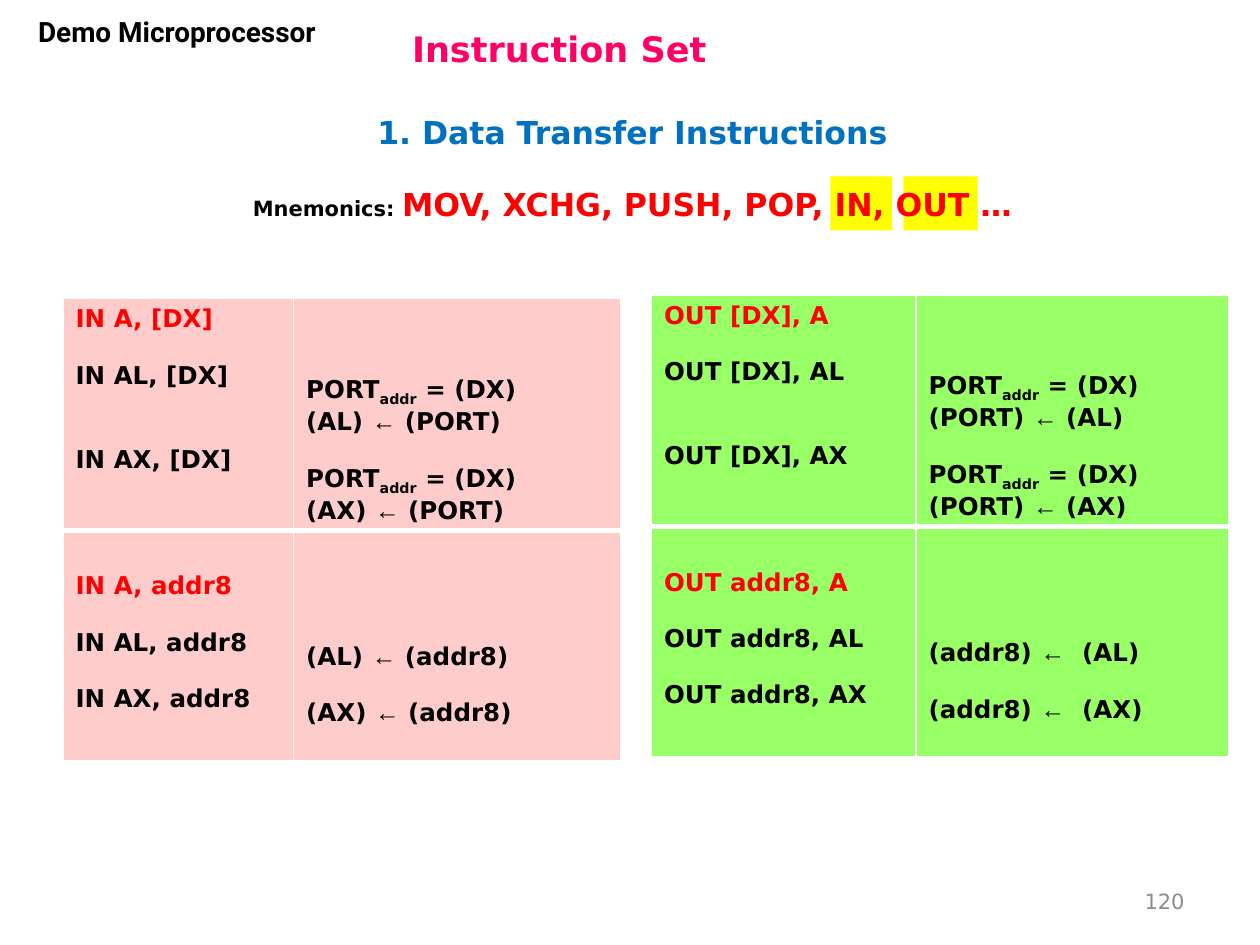
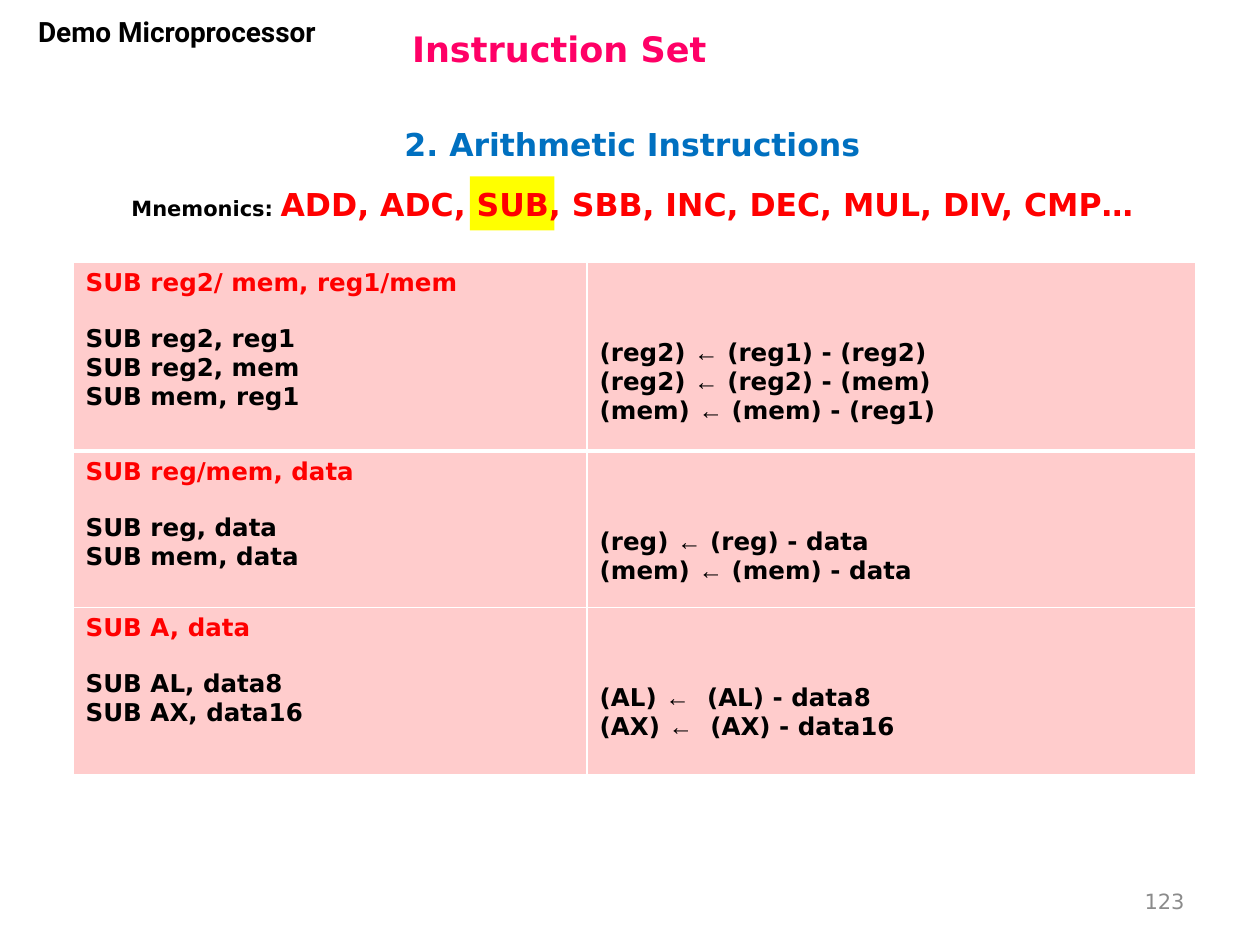
from typing import NamedTuple

from lxml.etree import SubElement
from pptx import Presentation
from pptx.dml.color import RGBColor
from pptx.enum.shapes import MSO_SHAPE as Shape
from pptx.enum.text import MSO_ANCHOR as Anchor, MSO_AUTO_SIZE as AutoSize, PP_ALIGN as Align
from pptx.oxml.ns import qn
from pptx.util import Emu, Pt

PX = 9144  # 100 px to the inch
TITLE_ONLY = 5

BLACK = RGBColor(0x00, 0x00, 0x00)
WHITE = RGBColor(0xFF, 0xFF, 0xFF)
RED = RGBColor(0xFF, 0x00, 0x00)
MAGENTA = RGBColor(0xFF, 0x00, 0x66)
BLUE = RGBColor(0x00, 0x70, 0xC0)
GREY = RGBColor(0x8B, 0x8B, 0x8B)
YELLOW = RGBColor(0xFF, 0xFF, 0x00)
PINK = RGBColor(0xFF, 0xCC, 0xCC)
GREEN = RGBColor(0x99, 0xFF, 0x66)

MAIN_FONT = "DejaVu Sans"
COURSE_FONT = "Roboto"
ARROW_FONT = "Arial"

CELL_TOP, CELL_BOTTOM = 5, 1
LEAD_LINE = 28
GAP_LINE = 15.8
THIN, THICK = Pt(0.96), Pt(3)


class Place(NamedTuple):
    left: int
    top: int
    width: int
    height: int


class Line(NamedTuple):
    text: str
    gap: int = 0  # line heights left free above


class Row(NamedTuple):
    height: int
    forms: list[Line]
    effects: list[Line]
    lead: int = 0  # line heights left free above the first form


class Grid(NamedTuple):
    left: int
    top: int
    columns: tuple[int, int]
    fill: RGBColor
    rows: list[Row]


class Topic(NamedTuple):
    heading: str
    heading_top: int
    mnemonics: str
    highlights: list[Place]
    grids: list[Grid]
    number: str


TITLE = Place(317, 12, 658, 53)
COURSE = Place(7, 7, 267, 63)
NUMBER = Place(717, 695, 233, 40)
MNEMONICS = Place(29, 142, 946, 40)


def highlight_at(left: int, width: int) -> Place:
    return Place(left, 140, width, 43)


TOPICS = [
    Topic(
        "1. Data Transfer Instructions", 83,
        "MOV, XCHG, PUSH, POP, IN, OUT …",
        [highlight_at(659, 49), highlight_at(717, 59)],
        [
            Grid(50, 237, (183, 260), PINK, [
                Row(184,
                    [Line("IN A, [DX]"), Line("IN AL, [DX]", 1), Line("IN AX, [DX]", 2)],
                    [Line("PORTaddr = (DX)"), Line("(AL) ← (PORT)"),
                     Line("PORTaddr = (DX)", 1), Line("(AX) ← (PORT)")]),
                Row(183,
                    [Line("IN A, addr8"), Line("IN AL, addr8", 1), Line("IN AX, addr8", 1)],
                    [Line("(AL) ← (addr8)"), Line("(AX) ← (addr8)", 1)],
                    lead=1),
            ]),
            Grid(517, 234, (210, 248), GREEN, [
                Row(184,
                    [Line("OUT [DX], A"), Line("OUT [DX], AL", 1), Line("OUT [DX], AX", 2)],
                    [Line("PORTaddr = (DX)"), Line("(PORT) ← (AL)"),
                     Line("PORTaddr = (DX)", 1), Line("(PORT) ← (AX)")]),
                Row(183,
                    [Line("OUT addr8, A"), Line("OUT addr8, AL", 1), Line("OUT addr8, AX", 1)],
                    [Line("(addr8) ←  (AL)"), Line("(addr8) ←  (AX)", 1)],
                    lead=1),
            ]),
        ],
        "120",
    ),
    Topic(
        "2. Arithmetic Instructions", 93,
        "ADD, ADC, SUB, SBB, INC, DEC, MUL, DIV, CMP…",
        [highlight_at(373, 67)],
        [
            Grid(58, 208, (408, 483), PINK, [
                Row(150,
                    [Line("SUB reg2/ mem, reg1/mem"), Line("SUB reg2, reg1", 1),
                     Line("SUB reg2, mem"), Line("SUB mem, reg1")],
                    [Line("(reg2) ← (reg1) - (reg2)"), Line("(reg2) ← (reg2) - (mem)"),
                     Line("(mem) ← (mem) - (reg1)")]),
                Row(124,
                    [Line("SUB reg/mem, data"), Line("SUB reg, data", 1),
                     Line("SUB mem, data")],
                    [Line("(reg) ← (reg) - data"), Line("(mem) ← (mem) - data")]),
                Row(133,
                    [Line("SUB A, data"), Line("SUB AL, data8", 1), Line("SUB AX, data16")],
                    [Line("(AL) ←  (AL) - data8"), Line("(AX) ←  (AX) - data16")]),
            ]),
        ],
        "123",
    ),
]


def px(length: int) -> Emu:
    return Emu(length * PX)


def emu(place: Place) -> list[Emu]:
    return [px(length) for length in place]


def style(span, size: int, color: RGBColor, bold: bool = True, name: str = MAIN_FONT) -> None:
    font = span.font
    font.size, font.bold, font.name = Pt(size), bold, name
    font.color.rgb = color


def add_span(para, text: str, size: int, color: RGBColor, name: str = MAIN_FONT):
    span = para.add_run()
    span.text = text
    style(span, size, color, name=name)
    return span


def add_text(page, place: Place, text: str, size: int, color: RGBColor,
             align: Align = Align.CENTER, anchor: Anchor = Anchor.MIDDLE,
             bold: bool = True, name: str = MAIN_FONT):
    """Add a one-paragraph text box and return its paragraph."""
    frame = page.shapes.add_textbox(*emu(place)).text_frame
    frame.word_wrap = True
    frame.vertical_anchor = anchor
    frame.text = text
    para = frame.paragraphs[0]
    para.alignment = align
    style(para.runs[0], size, color, bold, name)
    return para


def add_highlight(page, place: Place) -> None:
    box = page.shapes.add_shape(Shape.RECTANGLE, *emu(place))
    box.shadow.inherit = False
    box.fill.solid()
    box.fill.fore_color.rgb = YELLOW
    box.line.fill.background()


def write_operation(para, text: str, color: RGBColor) -> None:
    """Write one line, with its arrow in the arrow font and its port index lowered."""
    port, index, rest = text.partition("PORTaddr")
    if index:
        add_span(para, "PORT", 14, color)
        lowered = add_span(para, "addr", 14, color)
        lowered._r.get_or_add_rPr().set("baseline", "-25000")
        add_span(para, rest, 14, color)
        return
    target, arrow, source = text.partition("←")
    add_span(para, target, 14, color)
    if arrow:
        add_span(para, arrow, 14, color, ARROW_FONT)
        add_span(para, source, 14, color)


def add_borders(cell, bottom: Emu) -> None:
    properties = cell._tc.get_or_add_tcPr()
    for side, width in (("lnL", THIN), ("lnR", THIN), ("lnT", THIN), ("lnB", bottom)):
        line = SubElement(properties, qn(f"a:{side}"), w=str(int(width)))
        fill = SubElement(line, qn("a:solidFill"))
        SubElement(fill, qn("a:srgbClr"), val=str(WHITE))


def fill_cell(cell, lines: list[Line], lead: int, first_color: RGBColor,
              fill: RGBColor, bottom: Emu) -> None:
    add_borders(cell, bottom)
    cell.fill.solid()
    cell.fill.fore_color.rgb = fill
    cell.margin_top = px(CELL_TOP + LEAD_LINE * lead)
    cell.margin_bottom = px(CELL_BOTTOM)
    frame = cell.text_frame
    for index, line in enumerate(lines):
        para = frame.add_paragraph() if index else frame.paragraphs[0]
        if line.gap:
            para.space_before = Pt(GAP_LINE * line.gap)
        write_operation(para, line.text, BLACK if index else first_color)


def add_grid(page, grid: Grid) -> None:
    place = Place(grid.left, grid.top, sum(grid.columns), sum(row.height for row in grid.rows))
    table = page.shapes.add_table(len(grid.rows), len(grid.columns), *emu(place)).table
    table.first_row = table.horz_banding = False
    for column, width in zip(table.columns, grid.columns):
        column.width = px(width)
    for index, row in enumerate(grid.rows):
        table.rows[index].height = px(row.height)
        bottom = THIN if index else THICK
        fill_cell(table.cell(index, 0), row.forms, row.lead, RED, grid.fill, bottom)
        fill_cell(table.cell(index, 1), row.effects, row.lead + 2, BLACK, grid.fill, bottom)


def add_title(page) -> None:
    title = page.shapes.title
    title.left, title.top, title.width, title.height = emu(TITLE)
    frame = title.text_frame
    frame.text = "Instruction Set"
    frame.auto_size = AutoSize.NONE
    frame.vertical_anchor = Anchor.MIDDLE
    frame.paragraphs[0].alignment = Align.LEFT
    style(frame.paragraphs[0].runs[0], 20, MAGENTA)


def add_topic(deck, topic: Topic) -> None:
    page = deck.slides.add_slide(deck.slide_layouts[TITLE_ONLY])
    add_title(page)
    for place in topic.highlights:
        add_highlight(page, place)
    add_text(page, COURSE, "Demo Microprocessor", 16, BLACK, anchor=Anchor.TOP, name=COURSE_FONT)
    add_text(page, Place(29, topic.heading_top, 946, 43), topic.heading, 18, BLUE)
    para = add_text(page, MNEMONICS, "Mnemonics: ", 12, BLACK, anchor=Anchor.TOP)
    add_span(para, topic.mnemonics, 18, RED)
    for grid in topic.grids:
        add_grid(page, grid)
    add_text(page, NUMBER, topic.number, 12, GREY, Align.RIGHT, bold=False)


def main() -> None:
    deck = Presentation()
    deck.slide_width, deck.slide_height = px(1000), px(750)
    for topic in TOPICS:
        add_topic(deck, topic)
    deck.save("out.pptx")


if __name__ == "__main__":
    main()
